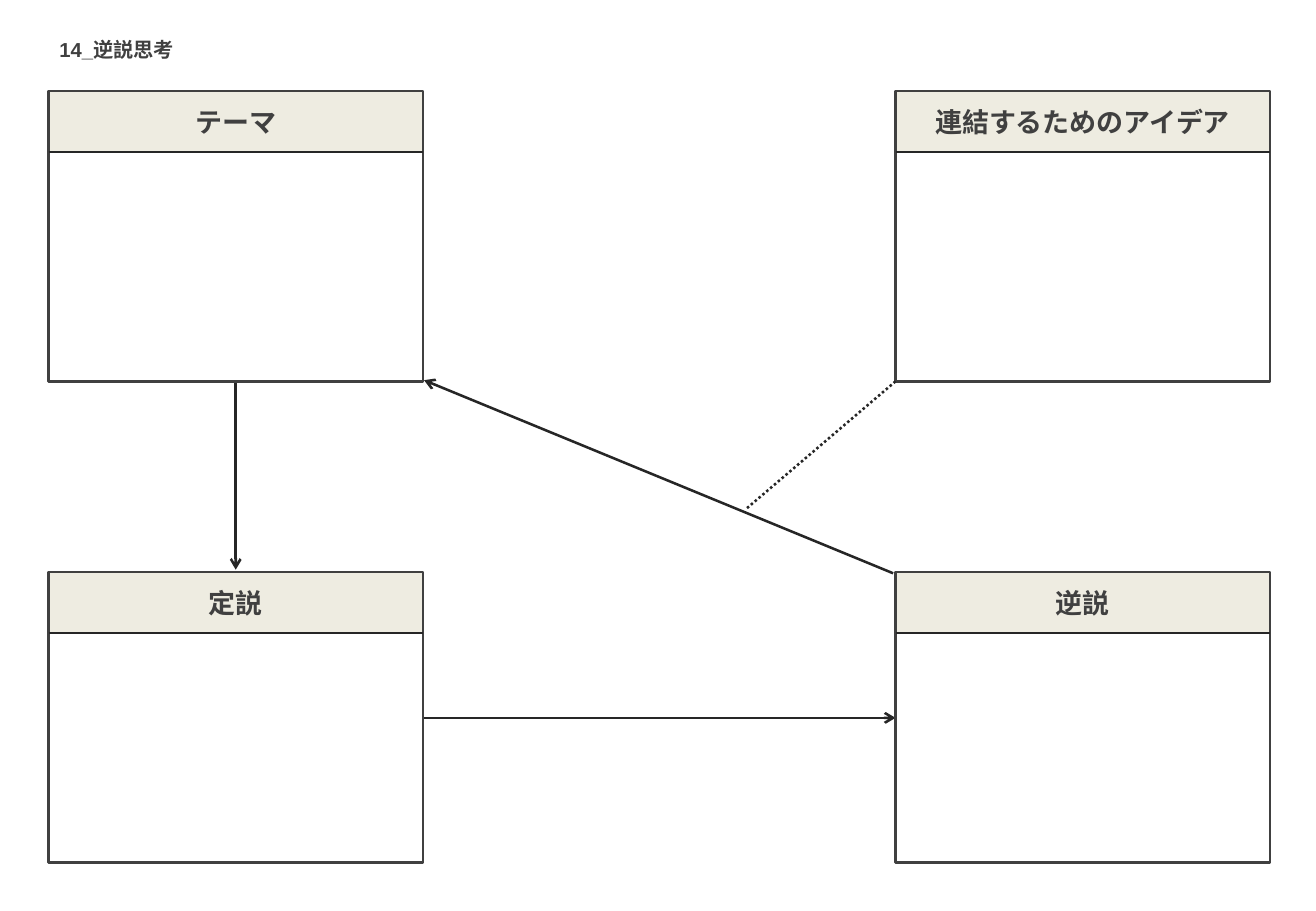
from dataclasses import dataclass

from lxml.etree import SubElement
from pptx import Presentation
from pptx.dml.color import RGBColor
from pptx.enum.dml import MSO_LINE
from pptx.enum.shapes import MSO_CONNECTOR, MSO_SHAPE
from pptx.enum.text import MSO_ANCHOR, MSO_AUTO_SIZE, PP_ALIGN
from pptx.oxml.ns import qn
from pptx.util import Pt

PX = 9144  # EMU per px, 100 px to the inch


@dataclass(frozen=True)
class Theme:
    font: str = "Arial"
    text: RGBColor = RGBColor(0x40, 0x40, 0x40)
    frame: RGBColor = RGBColor(0x40, 0x40, 0x40)
    line: RGBColor = RGBColor(0x26, 0x26, 0x26)
    header: RGBColor = RGBColor(0xEE, 0xEC, 0xE1)
    title_size: Pt = Pt(12)
    header_size: Pt = Pt(16)
    line_width: Pt = Pt(1.5)


theme = Theme()


def add_line(shapes, start, end, arrow=False, dash=None):
    points = [value * PX for value in (*start, *end)]
    connector = shapes.add_connector(MSO_CONNECTOR.STRAIGHT, *points)
    connector.line.color.rgb = theme.line
    connector.line.width = theme.line_width
    if dash:
        connector.line.dash_style = dash
    properties = connector._element.spPr
    if arrow:
        SubElement(properties.find(qn("a:ln")), qn("a:tailEnd"), type="arrow")
    SubElement(properties, qn("a:effectLst"))


def add_label(shapes, text, box, size, align, anchor):
    label = shapes.add_textbox(*[value * PX for value in box])
    frame = label.text_frame
    frame.word_wrap = True
    frame.auto_size = MSO_AUTO_SIZE.SHAPE_TO_FIT_TEXT
    frame.vertical_anchor = anchor
    paragraph = frame.paragraphs[0]
    paragraph.alignment = align
    run = paragraph.add_run()
    run.text = text
    run.font.name = theme.font
    run.font.size = size
    run.font.bold = True
    run.font.color.rgb = theme.text


presentation = Presentation()
presentation.slide_width = 1083 * PX
presentation.slide_height = 750 * PX
slide = presentation.slides.add_slide(presentation.slide_layouts[6])

# Title
add_label(slide.shapes, "14_逆説思考", (39, 26, 115, 30),
          theme.title_size, PP_ALIGN.LEFT, MSO_ANCHOR.TOP)

# Arrows: theme to accepted view, to paradox, and back to theme
for start, end in [((194, 313), (194, 469)),
                   ((348, 591), (737, 591)),
                   ((735, 472), (349, 313))]:
    add_line(slide.shapes, start, end, arrow=True)

# Four cards, each a header band, a frame, a rule and a heading
LEFT, RIGHT = 40, 737
TOP, BOTTOM = 75, 471
CARD_WIDTH, CARD_HEIGHT, HEADER_HEIGHT = 308, 239, 50
HEADING_INSET, HEADING_HEIGHT = 7, 37

for heading, x, y in [("定説", LEFT, BOTTOM),
                      ("テーマ", LEFT, TOP),
                      ("連結するためのアイデア", RIGHT, TOP),
                      ("逆説", RIGHT, BOTTOM)]:
    card = slide.shapes.add_group_shape().shapes

    band = card.add_shape(MSO_SHAPE.RECTANGLE, (x - 1) * PX, y * PX,
                          (CARD_WIDTH + 1) * PX, HEADER_HEIGHT * PX)
    band.shadow.inherit = False
    band.fill.solid()
    band.fill.fore_color.rgb = theme.header
    band.line.fill.background()

    border = card.add_shape(MSO_SHAPE.RECTANGLE, x * PX, y * PX,
                            CARD_WIDTH * PX, CARD_HEIGHT * PX)
    border.shadow.inherit = False
    border.fill.background()
    border.line.color.rgb = theme.frame
    border.line.width = theme.line_width

    rule_y = y + HEADER_HEIGHT
    add_line(card, (x, rule_y), (x + CARD_WIDTH, rule_y))
    add_label(card, heading, (x, y + HEADING_INSET, CARD_WIDTH, HEADING_HEIGHT),
              theme.header_size, PP_ALIGN.CENTER, MSO_ANCHOR.MIDDLE)

# Dotted link from the idea card to the return arrow
add_line(slide.shapes, (RIGHT, TOP + CARD_HEIGHT), (614, 419),
         dash=MSO_LINE.ROUND_DOT)

presentation.save("out.pptx")
